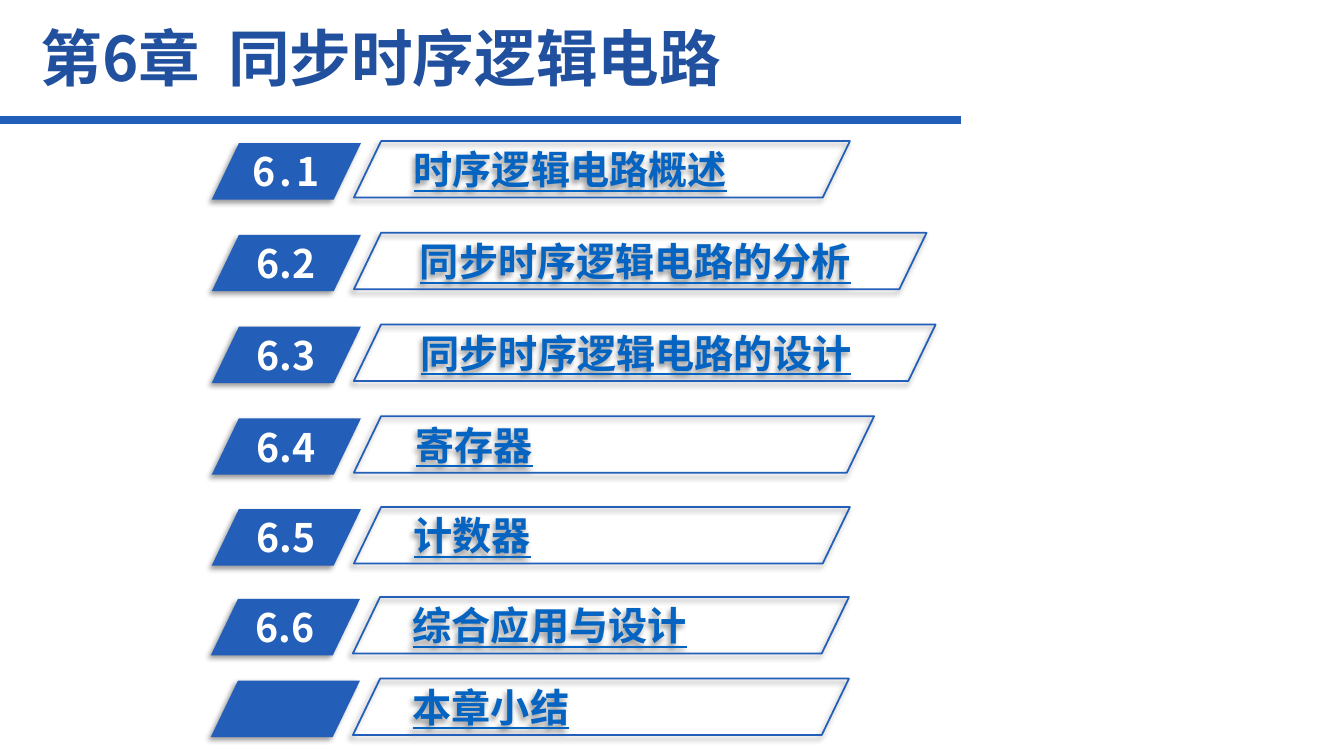
from dataclasses import dataclass

from lxml.etree import SubElement
from pptx import Presentation
from pptx.dml.color import RGBColor
from pptx.enum.shapes import MSO_CONNECTOR, MSO_SHAPE
from pptx.enum.text import MSO_ANCHOR, MSO_AUTO_SIZE, PP_ALIGN
from pptx.oxml.ns import qn
from pptx.shapes.autoshape import Shape
from pptx.slide import Slide
from pptx.text.text import _Paragraph
from pptx.util import Inches, Pt

COLORS = {
    "title": "21509E",
    "accent": "235EB8",
    "link": "0563C1",
    "white": "FFFFFF",
    "shadow": "000000",
}
FONT = "Noto Sans CJK SC"
GRID_TOP, ROW_PITCH, BAR_HEIGHT = 1.4, 0.91, 0.56
NUMBER_LEFT, NUMBER_WIDTH, NUMBER_DROP = 2.1, 1.48, 0.02
TOPIC_LEFT = 3.51


@dataclass
class Section:
    row: float
    number: str
    topic: str
    width: float = 4.92
    shift: float = 0
    spacing: float = 0


SECTIONS = [
    Section(0, "6.1", "时序逻辑电路概述", spacing=3),
    Section(1, "6.2", "同步时序逻辑电路的分析", 5.68),
    Section(2, "6.3", "同步时序逻辑电路的设计", 5.77),
    Section(3, "6.4", "寄存器", 5.16),
    Section(3.99, "6.5", "计数器"),
    Section(4.97, "6.6", "综合应用与设计", shift=-0.01),
    Section(5.86, "", "本章小结", shift=-0.01),
]


def rgb(name: str) -> RGBColor:
    return RGBColor.from_string(COLORS[name])


def add_run(p: _Paragraph, text: str, size: float, color: str,
            underline: bool = False, spacing: float = 0) -> None:
    r = p.add_run()
    r.text = text
    r.font.size = Pt(size)
    r.font.bold = True
    r.font.name = FONT
    r.font.color.rgb = rgb(color)
    if underline:
        r.font.underline = True
    rPr = r._r.get_or_add_rPr()
    if spacing:
        rPr.set("spc", str(int(spacing * 100)))
    SubElement(rPr, qn("a:ea")).set("typeface", FONT)


def add_shadow(sp: Shape) -> None:
    sp.shadow.inherit = False
    effects = sp._element.spPr.find(qn("a:effectLst"))
    outer = SubElement(effects, qn("a:outerShdw"), blurRad=str(Pt(4)),
                       dist=str(Pt(3)), dir=str(135 * 60000),
                       algn="tr", rotWithShape="0")
    color = SubElement(outer, qn("a:srgbClr"), val=COLORS["shadow"])
    SubElement(color, qn("a:alpha"), val="40000")


def add_bar(s: Slide, left: float, top: float, width: float) -> Shape:
    sp = s.shapes.add_shape(MSO_SHAPE.PARALLELOGRAM, Inches(left), Inches(top),
                            Inches(width), Inches(BAR_HEIGHT))
    sp.adjustments[0] = 0.482
    add_shadow(sp)
    tf = sp.text_frame
    tf.word_wrap = True
    tf.vertical_anchor = MSO_ANCHOR.MIDDLE
    return sp


def add_section(s: Slide, section: Section) -> None:
    top = GRID_TOP + section.row * ROW_PITCH
    number = add_bar(s, NUMBER_LEFT + section.shift, top + NUMBER_DROP, NUMBER_WIDTH)
    number.fill.solid()
    number.fill.fore_color.rgb = rgb("accent")
    number.line.fill.background()
    if section.number:
        p = number.text_frame.paragraphs[0]
        p.alignment = PP_ALIGN.CENTER
        add_run(p, section.number, 28, "white", spacing=section.spacing)

    topic = add_bar(s, TOPIC_LEFT + section.shift, top, section.width)
    topic.fill.background()
    topic.line.color.rgb = rgb("accent")
    topic.line.width = Pt(1.25)
    tf = topic.text_frame
    tf.margin_left = tf.margin_right = Inches(0.07)
    tf.margin_top = tf.margin_bottom = Inches(0.04)
    p = tf.paragraphs[0]
    p.alignment = PP_ALIGN.LEFT
    add_run(p, section.topic, 28, "link", underline=True)


def add_title(s: Slide) -> None:
    title = s.shapes.title
    title.left, title.top = Inches(0.3), Inches(0.18)
    title.width, title.height = Inches(7.42), Inches(0.76)
    tf = title.text_frame
    tf.auto_size = MSO_AUTO_SIZE.NONE
    tf.word_wrap = True
    tf.vertical_anchor = MSO_ANCHOR.MIDDLE
    p = tf.paragraphs[0]
    p.alignment = PP_ALIGN.LEFT
    add_run(p, "第6章", 44, "title")
    add_run(p, " ", 44, "title", spacing=10)
    add_run(p, "同步时序逻辑电路", 44, "title")


def add_rule(s: Slide) -> None:
    rule = s.shapes.add_connector(MSO_CONNECTOR.STRAIGHT, 0, Inches(1.19),
                                  Inches(9.53), Inches(1.19))
    rule.line.color.rgb = rgb("accent")
    rule.line.width = Pt(6)
    SubElement(rule._element.spPr, qn("a:effectLst"))


def main() -> None:
    prs = Presentation()
    prs.slide_width, prs.slide_height = Inches(13.33), Inches(7.5)
    s = prs.slides.add_slide(prs.slide_layouts[5])
    add_title(s)
    add_rule(s)
    for section in SECTIONS:
        add_section(s, section)
    prs.save("out.pptx")


if __name__ == "__main__":
    main()
